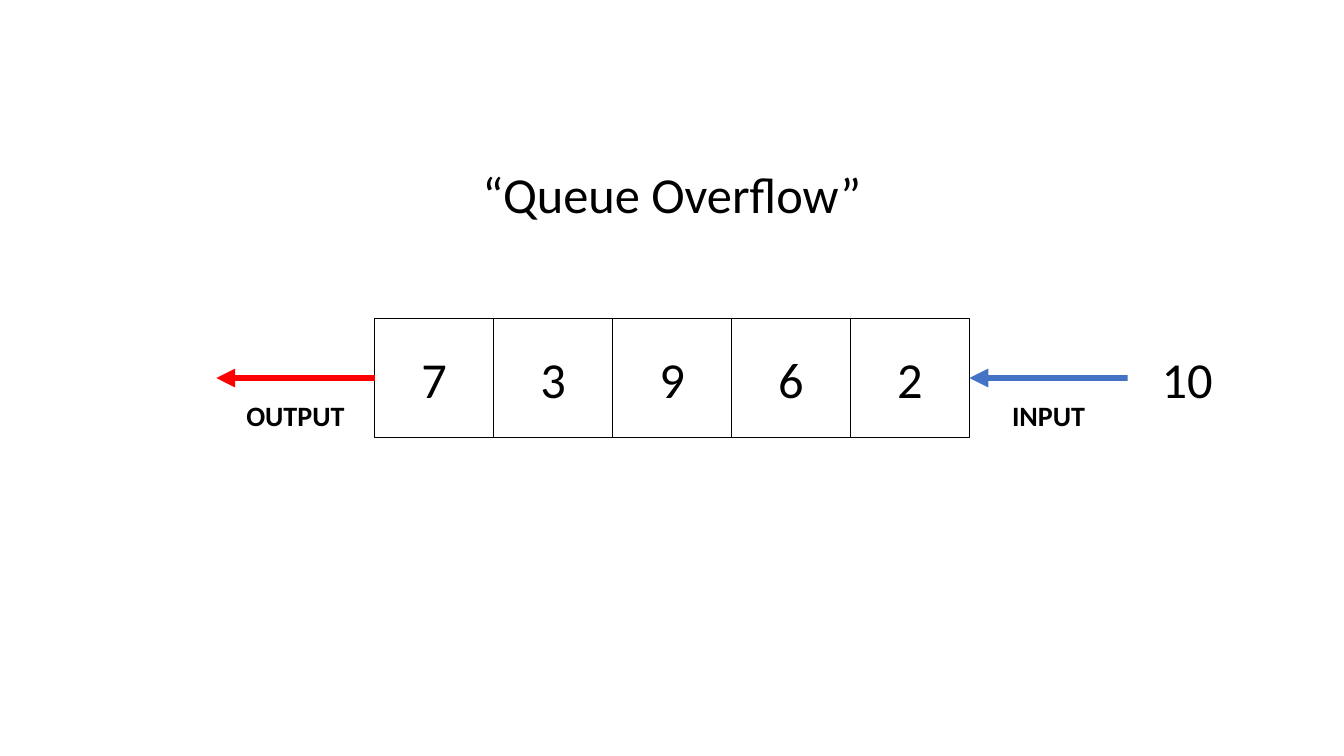
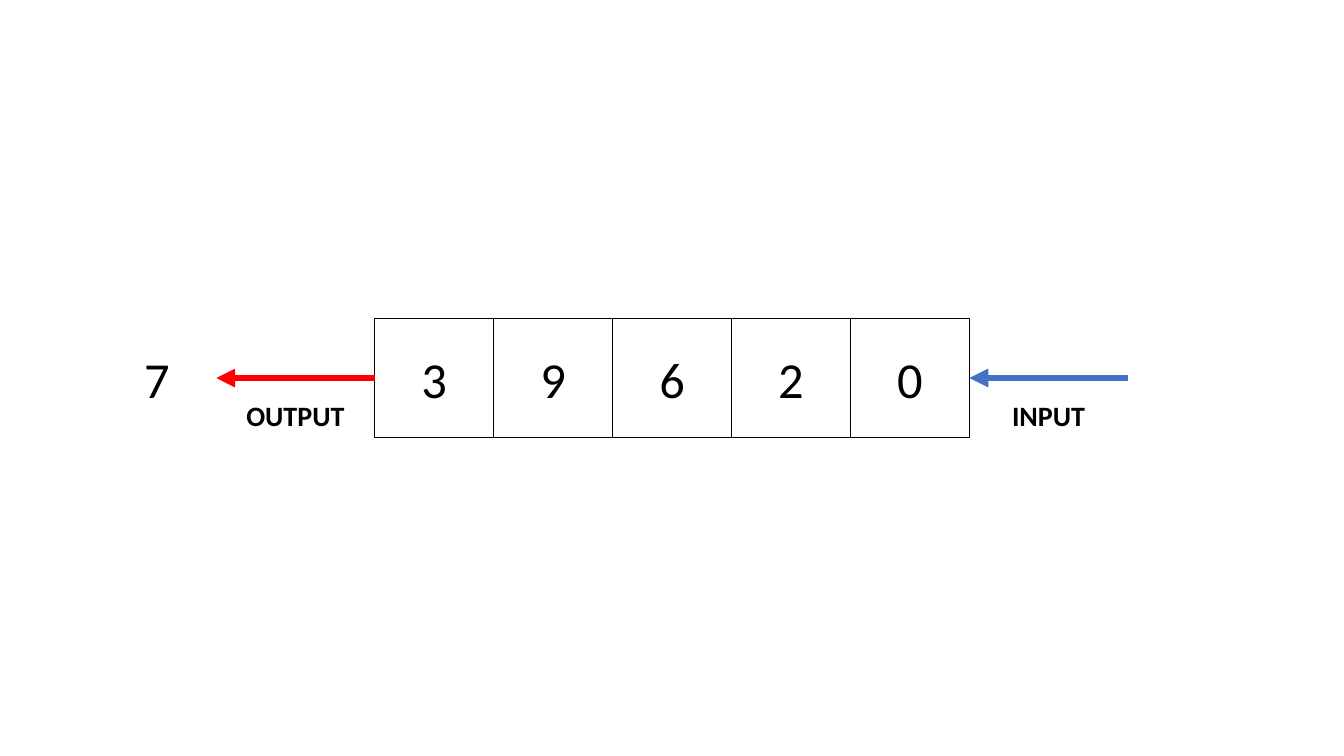
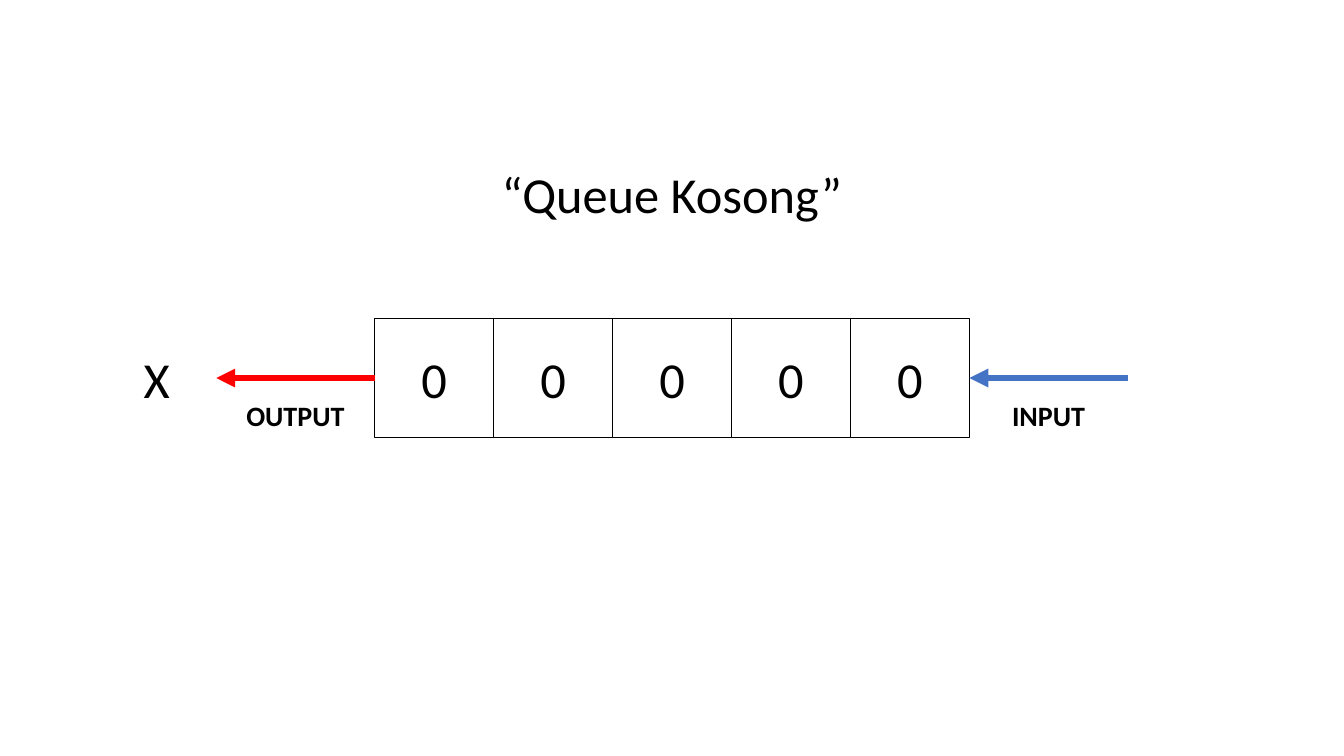
from lxml import etree
from pptx import Presentation
from pptx.dml.color import RGBColor
from pptx.enum.shapes import MSO_CONNECTOR, MSO_SHAPE
from pptx.enum.text import MSO_ANCHOR, MSO_AUTO_SIZE, PP_ALIGN
from pptx.oxml.ns import qn
from pptx.util import Inches, Pt

RECTANGLE = MSO_SHAPE.RECTANGLE
STRAIGHT = MSO_CONNECTOR.STRAIGHT
MIDDLE, TOP = MSO_ANCHOR.MIDDLE, MSO_ANCHOR.TOP
CENTER = PP_ALIGN.CENTER
NO_AUTOFIT = MSO_AUTO_SIZE.NONE

COLORS = {"paper": "FFFFFF", "ink": "000000", "input": "4472C4", "output": "FF0000"}
FONT = "Calibri"
VALUE_SIZE, LABEL_SIZE = 36, 20
TITLE_ONLY, BLANK = 5, 6

# The row is five square cells, centred, with an arrow and one slot on each side.
SLIDE_WIDTH, SLIDE_HEIGHT = 13.33, 7.5
CELL, CELL_COUNT = 1.18, 5
ARROW = 1.57
ROW_MIDDLE = SLIDE_HEIGHT / 2
ROW_TOP = ROW_MIDDLE - CELL / 2
ROW_LEFT = (SLIDE_WIDTH - CELL_COUNT * CELL) / 2
ROW_RIGHT = ROW_LEFT + CELL_COUNT * CELL
OUTPUT_END = ROW_LEFT - ARROW
INPUT_START = ROW_RIGHT + ARROW
LABEL_TOP, LABEL_HEIGHT = ROW_MIDDLE + 0.15, 0.44
TITLE_TOP, TITLE_WIDTH = 1.33, 4 * CELL

STATES = [
    {"title": "“Queue Overflow”", "queue": "73962", "incoming": "10"},
    {"queue": "39620", "outgoing": "7"},
    {"title": "“Queue Kosong”", "queue": "00000", "outgoing": "X"},
]


def color(name):
    """Return the named colour of the deck."""
    return RGBColor.from_string(COLORS[name])


def write(shape, text, size=VALUE_SIZE, bold=False, anchor=MIDDLE):
    """Write one centred line of text into a shape."""
    frame = shape.text_frame
    frame.word_wrap = True
    frame.auto_size = NO_AUTOFIT
    frame.vertical_anchor = anchor
    para = frame.paragraphs[0]
    para.alignment = CENTER
    span = para.add_run()
    span.text = text
    span.font.name = FONT
    span.font.size = Pt(size)
    span.font.bold = bold
    span.font.color.rgb = color("ink")


def add_title(page, text):
    """Place and fill the title above the row."""
    title = page.shapes.title
    title.left, title.top = Inches((SLIDE_WIDTH - TITLE_WIDTH) / 2), Inches(TITLE_TOP)
    title.width, title.height = Inches(TITLE_WIDTH), Inches(CELL)
    write(title, text)


def add_square(shapes, left, text, outlined):
    """Add one square of the row holding a value."""
    box = shapes.add_shape(RECTANGLE, Inches(left), Inches(ROW_TOP), Inches(CELL), Inches(CELL))
    box.shadow.inherit = False
    box.fill.solid()
    box.fill.fore_color.rgb = color("paper")
    if outlined:
        box.line.color.rgb = color("ink")
        box.line.width = Pt(1)
    else:
        box.line.fill.background()
    write(box, text)


def add_queue(page, values):
    """Add the grouped cells of the queue."""
    group = page.shapes.add_group_shape()
    for column, value in enumerate(values):
        add_square(group.shapes, ROW_LEFT + column * CELL, value, outlined=True)


def add_flow(page, start, label, color_name):
    """Add an arrow pointing left from start, with its label below."""
    arrow = page.shapes.add_connector(
        STRAIGHT, Inches(start), Inches(ROW_MIDDLE), Inches(start - ARROW), Inches(ROW_MIDDLE))
    arrow.line.color.rgb = color(color_name)
    arrow.line.width = Pt(4.5)
    etree.SubElement(arrow.line._get_or_add_ln(), qn("a:tailEnd"), type="triangle")
    etree.SubElement(arrow._element.spPr, qn("a:effectLst"))

    label_left = start - (ARROW + CELL) / 2
    box = page.shapes.add_textbox(
        Inches(label_left), Inches(LABEL_TOP), Inches(CELL), Inches(LABEL_HEIGHT))
    box.text_frame.margin_left = box.text_frame.margin_right = 0
    write(box, label, LABEL_SIZE, bold=True, anchor=TOP)


def add_state(deck, queue, title=None, incoming=None, outgoing=None):
    """Add a slide showing one state of the queue."""
    page = deck.slides.add_slide(deck.slide_layouts[TITLE_ONLY if title else BLANK])
    if title:
        add_title(page, title)
    add_queue(page, queue)
    add_flow(page, INPUT_START, "INPUT", "input")
    add_flow(page, ROW_LEFT, "OUTPUT", "output")
    if incoming:
        add_square(page.shapes, INPUT_START, incoming, outlined=False)
    if outgoing:
        add_square(page.shapes, OUTPUT_END - CELL, outgoing, outlined=False)


def main():
    """Build and save the deck."""
    deck = Presentation()
    deck.slide_width, deck.slide_height = Inches(SLIDE_WIDTH), Inches(SLIDE_HEIGHT)
    for state in STATES:
        add_state(deck, **state)
    deck.save("out.pptx")


main()
